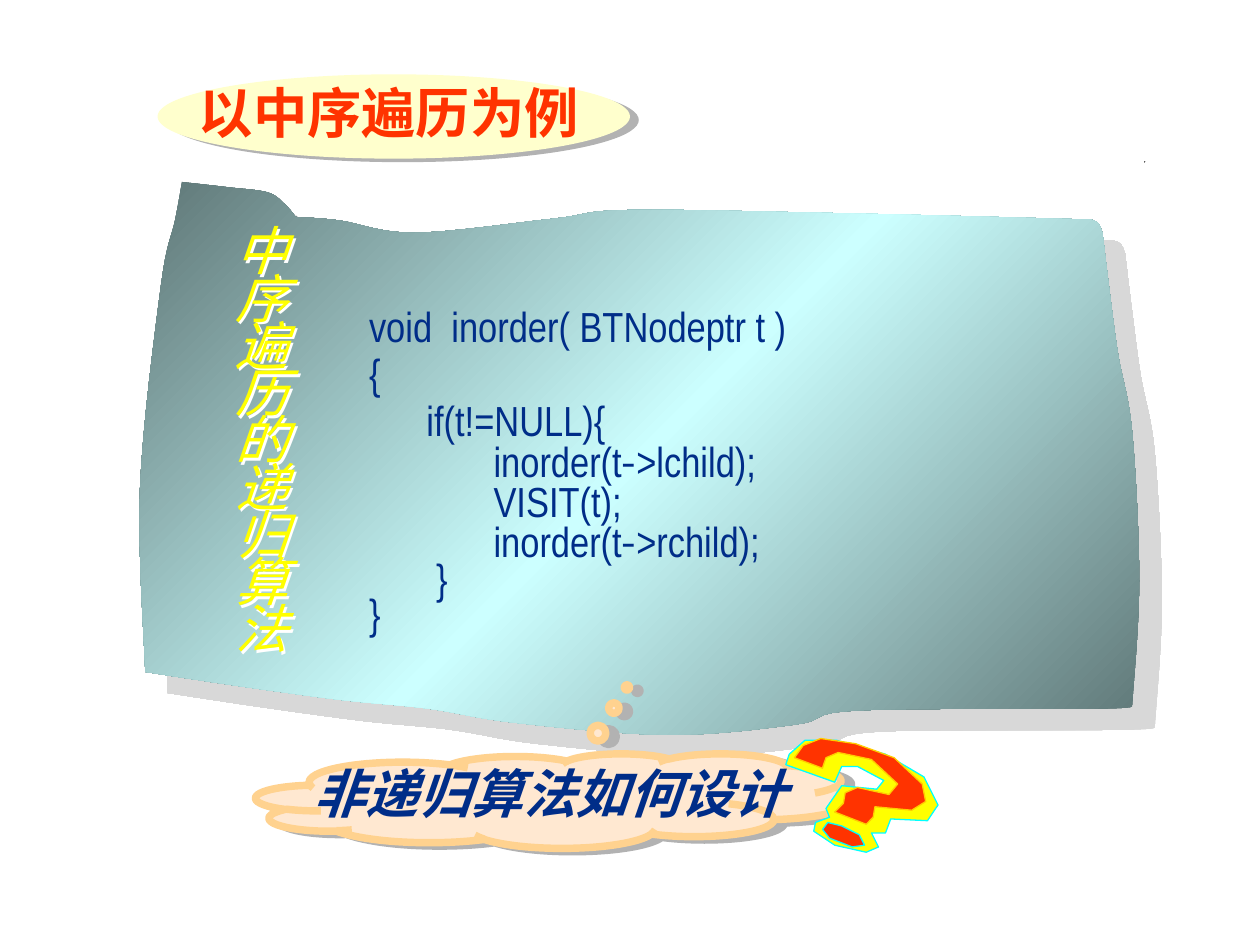
from dataclasses import dataclass
from itertools import chain
from typing import Optional

from lxml.etree import SubElement
from pptx import Presentation
from pptx.dml.color import RGBColor
from pptx.enum.shapes import MSO_SHAPE
from pptx.enum.text import MSO_ANCHOR
from pptx.oxml import parse_xml
from pptx.oxml.ns import nsdecls, qn
from pptx.util import Pt

NAVY = RGBColor(0x00, 0x2D, 0x88)
RED = RGBColor(0xFF, 0x33, 0x00)
YELLOW = RGBColor(0xFF, 0xFF, 0x00)
CYAN = RGBColor(0x00, 0xFF, 0xFF)
GOLD = RGBColor(0xFF, 0xCC, 0x00)
CREAM = RGBColor(0xFF, 0xFF, 0xCD)
PEACH = RGBColor(0xFF, 0xE8, 0xD1)
APRICOT = RGBColor(0xFF, 0xD2, 0x8F)
BLACK = RGBColor(0x00, 0x00, 0x00)
GRAY = RGBColor(0xB2, 0xB2, 0xB2)
WHITE = RGBColor(0xFF, 0xFF, 0xFF)
TEAL = RGBColor(0x5E, 0x76, 0x76)
ICE = RGBColor(0xCC, 0xFF, 0xFF)

NARROW, SERIF, CJK = "Arial Narrow", "Times New Roman", "Noto Sans CJK SC"
CURVE_STEPS = 8

# Outline points are in points on the slide.
# The flag runs clockwise: smooth edges that meet at sharp corners.
BOTTOM_LEFT, TOP_LEFT, CURL_END = (83, 384), (104, 104), (169, 124)
TOP_RIGHT, BOTTOM_RIGHT = (630, 133), (647, 403)
FLAG_EDGES = {
    "left": [BOTTOM_LEFT, (80, 279), (92, 163), (100, 126), TOP_LEFT],
    "curl": [TOP_LEFT, (130, 107), (153, 110), (163, 117), CURL_END],
    "top": [CURL_END, (194, 126), (237, 133), (316, 125), (360, 120), (487, 122),
            (605, 125), (625, 126), TOP_RIGHT],
    "right": [TOP_RIGHT, (634, 166), (639, 203), (647, 247), (651, 332), BOTTOM_RIGHT],
    "bottom": [BOTTOM_RIGHT, (629, 405), (490, 406), (455, 414), (382, 420), (294, 413),
               (245, 405), (195, 400), (136, 392), BOTTOM_LEFT],
}

# The question mark is a yellow rim behind a red hook and a red dot.
RIM_PARTS = {
    "inner bend": [(481, 438), (490, 438), (505, 446), (501, 451), (481, 449)],
    "stem": [(472, 462), (474, 467), (466, 470), (465, 475)],
    "base": [(477, 483), (495, 487), (502, 484), (498, 476), (506, 476), (509, 468)],
    "outer bend": [(530, 469), (536, 460), (528, 444), (506, 431), (478, 423), (460, 423)],
    "tip": [(451, 431), (449, 437), (477, 447)],
}
HOOK_PARTS = {
    "tip": [(454, 433), (470, 439), (472, 433), (479, 430)],
    "inner bend": [(498, 434), (513, 448), (508, 454), (490, 450), (483, 453)],
    "stem": [(482, 459), (477, 464), (495, 471), (499, 467), (500, 461)],
    "outer bend": [(521, 463), (529, 458), (527, 448), (511, 433), (489, 425), (469, 422),
                   (459, 426)],
}
DOT = [(481, 472), (473, 470), (470, 474), (474, 479), (487, 484), (494, 483), (491, 477)]
SPECK_CORNER, SPECK_SIZE = (653.8, 922 / 10), 0.7


@dataclass(frozen=True)
class Box:
    left: float
    top: float
    width: float
    height: float

    def lengths(self) -> tuple:
        return Pt(self.left), Pt(self.top), Pt(self.width), Pt(self.height)


@dataclass(frozen=True)
class Style:
    font: str
    size: float
    color: RGBColor
    bold: bool = False
    italic: bool = False


@dataclass(frozen=True)
class Line:
    text: str
    spacing: float = 1.0
    after: float = 0


@dataclass(frozen=True)
class Shadow:
    color: RGBColor
    opacity: int
    distance: float
    angle: int


CODE = [
    Line("void  inorder( BTNodeptr t )", 0.8, 4),
    Line("{", 0.8, 4),
    Line("      if(t!=NULL){", 0.8),
    Line("             inorder(t->lchild);", 0.8),
    Line("             VISIT(t);", 0.8),
    Line("             inorder(t->rchild);", 0.8),
    Line("       }", 0.7),
    Line("}", 0.7),
]


def smooth(edge: list) -> list:
    """Pass a Catmull-Rom curve through the points; the last one is left to the next edge."""
    padded = [edge[0], *edge, edge[-1]]
    curve = []
    for a, b, c, d in zip(padded, padded[1:], padded[2:], padded[3:]):
        for step in range(CURVE_STEPS):
            t = step / CURVE_STEPS
            curve.append(tuple(
                q + t / 2 * (r - p + t * (2 * p - 5 * q + 4 * r - s + t * (3 * (q - r) + s - p)))
                for p, q, r, s in zip(a, b, c, d)))
    return curve


def cast_shadow(shape, shadow: Shadow) -> None:
    properties = shape._element.spPr
    for effects in properties.findall(qn("a:effectLst")):
        properties.remove(effects)
    properties.append(parse_xml(
        f'<a:effectLst {nsdecls("a")}><a:outerShdw dist="{Pt(shadow.distance)}" '
        f'dir="{shadow.angle * 60000}" algn="ctr" rotWithShape="0">'
        f'<a:srgbClr val="{shadow.color}"><a:alpha val="{shadow.opacity * 1000}"/>'
        '</a:srgbClr></a:outerShdw></a:effectLst>'))


def paint(shape, fill: RGBColor, line: Optional[RGBColor] = None, width: float = 0.75) -> None:
    shape.shadow.inherit = False
    shape.fill.solid()
    shape.fill.fore_color.rgb = fill
    if line is None:
        shape.line.fill.background()
    else:
        shape.line.color.rgb = line
        shape.line.width = Pt(width)


def add_polygon(slide, points: list, fill: RGBColor, line: Optional[RGBColor] = None):
    start, *rest = [(Pt(x), Pt(y)) for x, y in points]
    builder = slide.shapes.build_freeform(*start, scale=1.0)
    builder.add_line_segments(rest, close=True)
    shape = builder.convert_to_shape()
    paint(shape, fill, line)
    return shape


def add_flag(slide) -> None:
    flag = add_polygon(slide, list(chain.from_iterable(map(smooth, FLAG_EDGES.values()))), ICE)
    flag.fill.gradient()
    flag.fill.gradient_angle = 315
    stops = flag._element.spPr.find(qn("a:gradFill")).find(qn("a:gsLst"))
    for stop in list(stops):
        stops.remove(stop)
    for percent, color in ((0, TEAL), (50, ICE), (100, TEAL)):
        stop = SubElement(stops, qn("a:gs"), pos=str(percent * 1000))
        SubElement(stop, qn("a:srgbClr"), val=str(color))
    cast_shadow(flag, Shadow(GRAY, 50, 17.7, 43))


def add_question_mark(slide) -> None:
    add_polygon(slide, list(chain.from_iterable(RIM_PARTS.values())), YELLOW, CYAN)
    add_polygon(slide, list(chain.from_iterable(HOOK_PARTS.values())), RED, GOLD)
    add_polygon(slide, DOT, RED, CYAN)


def add_speck(slide) -> None:
    x, y = SPECK_CORNER
    add_polygon(slide, [(x, y + SPECK_SIZE), (x, y), (x + SPECK_SIZE, y)], BLACK)


def add_run(paragraph, text: str, style: Style, font_name: str) -> None:
    run = paragraph.add_run()
    run.text = text
    font = run.font
    font.size, font.bold, font.italic = Pt(style.size), style.bold, style.italic
    font.color.rgb = style.color
    font.name = font_name
    latin = run._r.get_or_add_rPr().find(qn("a:latin"))
    latin.addnext(parse_xml(f'<a:ea {nsdecls("a")} typeface="{NARROW}"/>'))


def add_text(slide, box: Box, lines: list, style: Style, anchor=MSO_ANCHOR.TOP):
    """Write one paragraph a line; hyphens are set in the CJK font."""
    text_box = slide.shapes.add_textbox(*box.lengths())
    frame = text_box.text_frame
    frame.word_wrap = True
    frame.vertical_anchor = anchor
    for index, line in enumerate(lines):
        paragraph = frame.add_paragraph() if index else frame.paragraphs[0]
        paragraph.line_spacing = line.spacing
        paragraph.space_after = Pt(line.after)
        before, hyphen, after = line.text.partition("-")
        for text, font_name in ((before, style.font), (hyphen, CJK), (after, style.font)):
            if text:
                add_run(paragraph, text, style, font_name)
    return text_box


def main() -> None:
    presentation = Presentation()
    presentation.slide_width, presentation.slide_height = Pt(720), Pt(540)
    slide = presentation.slides.add_slide(presentation.slide_layouts[6])

    add_flag(slide)
    title = add_text(slide, Box(127.4, 129.6, 82.8, 250.6),
                     [Line(character, 0.75) for character in "中序遍历的递归算法"],
                     Style(NARROW, 30, YELLOW, italic=True))
    cast_shadow(title, Shadow(WHITE, 100, 2, 45))
    add_text(slide, Box(203.8, 173.6, 455.8, 196.6), CODE, Style(NARROW, 24, NAVY))

    cloud = slide.shapes.add_shape(MSO_SHAPE.CLOUD_CALLOUT, *Box(146.2, 430.6, 342, 54).lengths())
    cloud.adjustments[0], cloud.adjustments[1] = 0.12, -1.2
    paint(cloud, PEACH, APRICOT, 4.25)
    cast_shadow(cloud, Shadow(GRAY, 100, 6.3, 18))
    add_text(slide, Box(172, 431.3, 358.6, 43.2), [Line("非递归算法如何设计")],
             Style(SERIF, 30, NAVY, bold=True, italic=True), MSO_ANCHOR.MIDDLE)
    add_question_mark(slide)
    add_speck(slide)

    ellipse = slide.shapes.add_shape(MSO_SHAPE.OVAL, *Box(90, 42.5, 270, 48.2).lengths())
    paint(ellipse, CREAM)
    cast_shadow(ellipse, Shadow(GRAY, 100, 5.4, 22))
    add_text(slide, Box(106.6, 41.8, 257.8, 44.6), [Line("以中序遍历为例")],
             Style(SERIF, 31, RED, bold=True), MSO_ANCHOR.MIDDLE)

    presentation.save("out.pptx")


if __name__ == "__main__":
    main()
